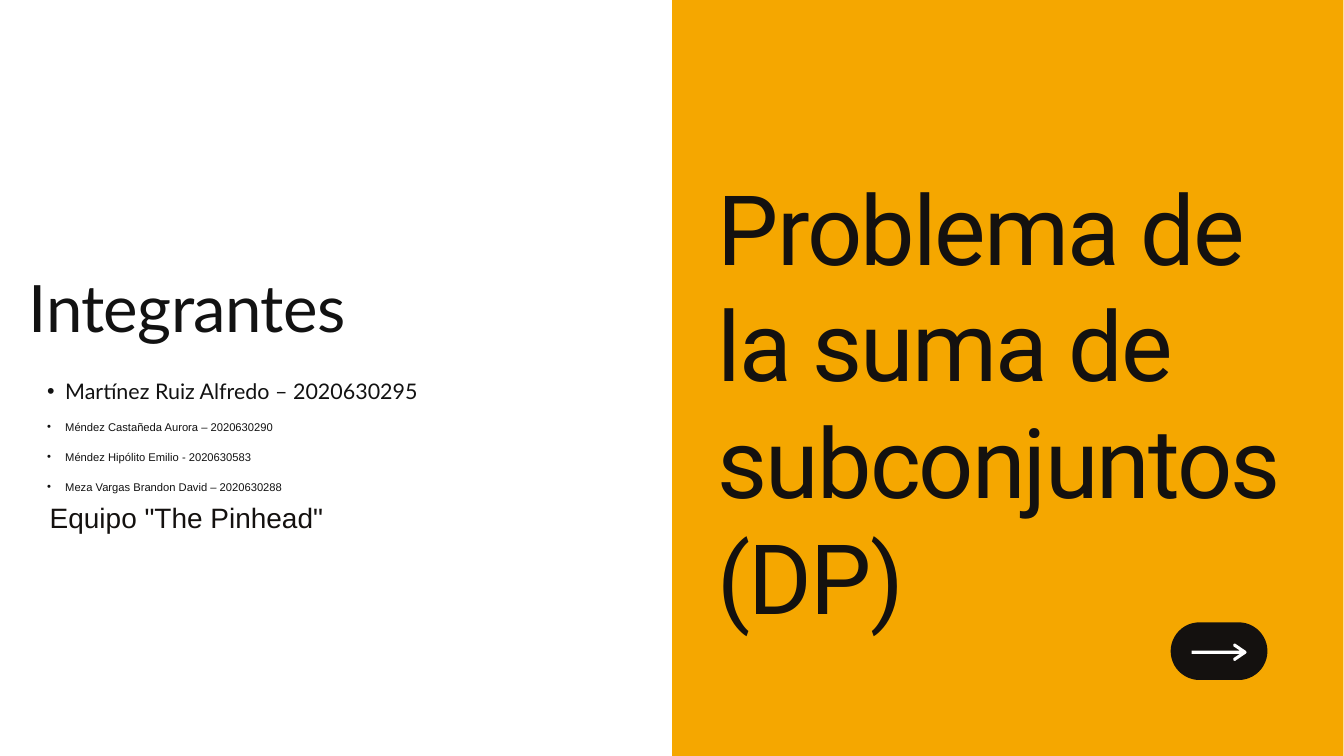
from lxml import etree
from pptx import Presentation
from pptx.dml.color import RGBColor
from pptx.enum.shapes import MSO_SHAPE
from pptx.enum.text import MSO_AUTO_SIZE
from pptx.oxml.ns import qn
from pptx.util import Pt

RECT = MSO_SHAPE.RECTANGLE
PILL = MSO_SHAPE.ROUNDED_RECTANGLE
GROW = MSO_AUTO_SIZE.SHAPE_TO_FIT_TEXT

COLORS = {"amber": "F5A700", "black": "14110F", "ink": "121212", "white": "FFFFFF"}
MEMBERS = [
    ("Martínez Ruiz Alfredo – 2020630295", "Lato", 23),
    ("Méndez Castañeda Aurora – 2020630290", "Arial", 12),
    ("Méndez Hipólito Emilio - 2020630583", "Arial", 12),
    ("Meza Vargas Brandon David – 2020630288", "Arial", 12),
]


def rgb(name):
    """Return a named colour."""
    return RGBColor.from_string(COLORS[name])


def paint(sp, color):
    """Give a shape a plain fill without line or shadow."""
    sp.shadow.inherit = False
    sp.fill.solid()
    sp.fill.fore_color.rgb = rgb(color)
    sp.line.fill.background()


def add_block(s, kind, x, y, w, h, color):
    """Add a plain preset shape."""
    sp = s.shapes.add_shape(kind, Pt(x), Pt(y), Pt(w), Pt(h))
    paint(sp, color)
    return sp


def add_arrow(s, x, y, length, color):
    """Add a right arrow, symmetric about y, as one outline."""
    upper = [(0, -1.8), (length - 7.2, -1.8), (length - 14.2, -6.5),
             (length - 14.2, -8.6), (length - 12.5, -9.4), (length - 0.7, -1.4)]
    lower = [(dx, -dy) for dx, dy in reversed(upper)]
    points = [(Pt(x + dx), Pt(y + dy)) for dx, dy in upper + [(length, 0)] + lower]
    builder = s.shapes.build_freeform(*points[0])
    builder.add_line_segments(points[1:], close=True)
    paint(builder.convert_to_shape(), color)


def add_box(s, x, y, w, h):
    """Add an empty wrapping text box without insets."""
    tf = s.shapes.add_textbox(Pt(x), Pt(y), Pt(w), Pt(h)).text_frame
    tf.word_wrap = True
    tf.auto_size = GROW
    tf.margin_left = tf.margin_right = tf.margin_top = tf.margin_bottom = 0
    return tf


def write(p, text, *, font, size, color, leading, spacing=0):
    """Write one formatted run into a paragraph."""
    p.line_spacing = Pt(leading)
    r = p.add_run()
    r.text = text
    r.font.name = font
    r.font.size = Pt(size)
    r.font.color.rgb = rgb(color)
    if spacing:
        r.font._element.set("spc", str(round(spacing * 100)))


def add_bullet(p, indent, hanging):
    """Give a paragraph a hanging round bullet."""
    p.level = 1
    pPr = p._p.get_or_add_pPr()
    pPr.set("marL", str(Pt(indent)))
    pPr.set("indent", str(-Pt(hanging)))
    etree.SubElement(pPr, qn("a:buFont")).set("typeface", "Arial")
    etree.SubElement(pPr, qn("a:buChar")).set("char", "•")


def add_members(s):
    """Add the bulleted list of team members."""
    tf = add_box(s, 31, 400.3, 656, 160)
    for i, (text, font, size) in enumerate(MEMBERS):
        p = tf.add_paragraph() if i else tf.paragraphs[0]
        write(p, text, font=font, size=size, color="ink", leading=32.2)
        add_bullet(p, 38.9, 19.4)


def main():
    """Build the slide and save it."""
    prs = Presentation()
    prs.slide_width, prs.slide_height = Pt(1440), Pt(810)
    s = prs.slides.add_slide(prs.slide_layouts[6])

    add_block(s, RECT, 720, 0, 719.3, 810, "amber")
    button = add_block(s, PILL, 1254.3, 666.8, 103.7, 61.8, "black")
    button.adjustments[0] = 0.5
    add_arrow(s, 1276.6, 698.8, 59, "white")

    write(add_box(s, 53.3, 530, 523.5, 41).paragraphs[0], 'Equipo "The Pinhead"',
          font="Arial", size=30, color="black", leading=42)
    write(add_box(s, 769, 180, 621.4, 499.7).paragraphs[0],
          "Problema de la suma de subconjuntos(DP)",
          font="Roboto", size=104, color="black", leading=124.8, spacing=-2.1)
    write(add_box(s, 31, 293.8, 656, 80).paragraphs[0], "Integrantes",
          font="Lato", size=70, color="ink", leading=77, spacing=-0.7)
    add_members(s)

    prs.save("out.pptx")


if __name__ == "__main__":
    main()
